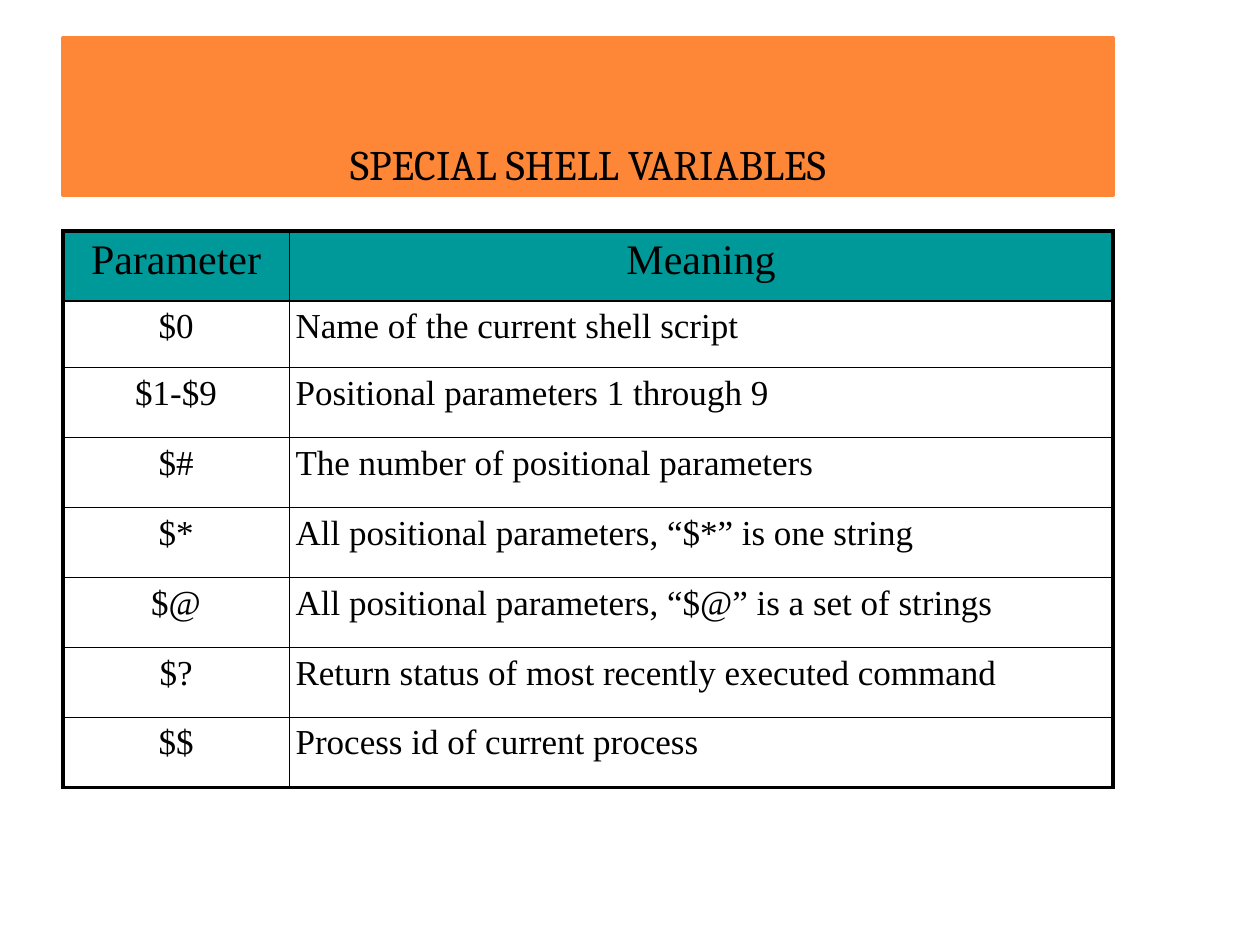
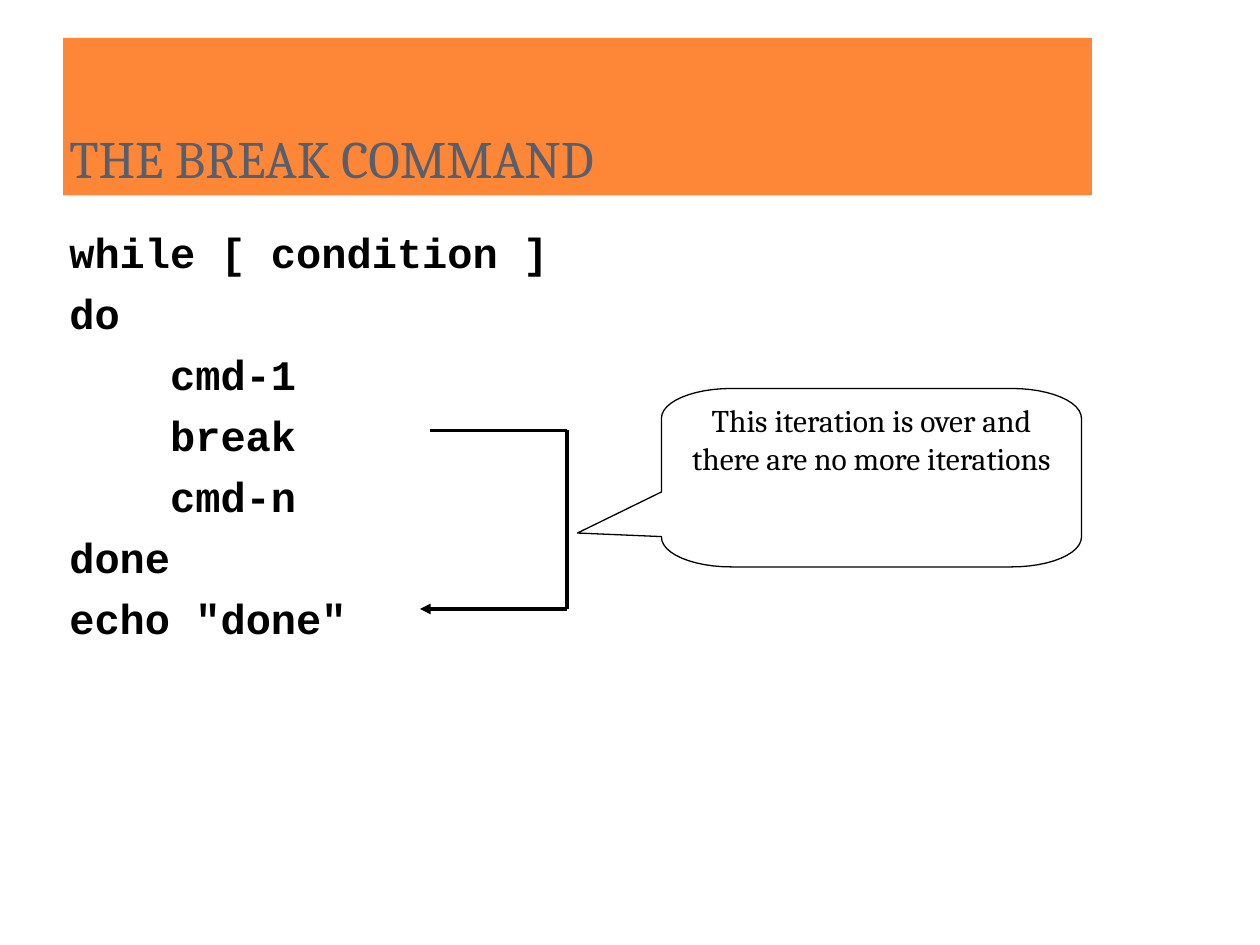
import math
from dataclasses import dataclass

import pptx
import pptx.dml.color
import pptx.enum.shapes
import pptx.enum.text
import pptx.oxml
import pptx.oxml.ns
import pptx.util
from lxml import etree

Pt = pptx.util.Pt
PP_ALIGN = pptx.enum.text.PP_ALIGN
ANCHOR = pptx.enum.text.MSO_ANCHOR
qn = pptx.oxml.ns.qn


def rgb(code):
    return pptx.dml.color.RGBColor.from_string(code)


@dataclass(frozen=True)
class Theme:
    band: str = "FE8637"
    header: str = "009999"
    ink: str = "000000"
    slate: str = "575F6D"
    serif: str = "Cambria"
    table_face: str = "Times New Roman"
    code_face: str = "Courier New"
    large: int = 24
    title: int = 30
    cell: int = 20
    note: int = 18
    thick: float = 2.25
    thin: float = 1
    inset: float = 0.05


THEME = Theme()

# Slide grid: 120 columns by 90 rows, 12 to the inch
UNITS_PER_INCH = 12
COLUMNS, ROWS = 120, 90


def grid(units):
    return pptx.util.Inches(units / UNITS_PER_INCH)


@dataclass(frozen=True)
class Box:
    left: float
    top: float
    width: float
    height: float

    def emu(self):
        return [grid(v) for v in (self.left, self.top, self.width, self.height)]

    def at(self, x, y):
        """Point at shares x and y of the box."""
        return self.left + x * self.width, self.top + y * self.height


# Shared text formatting
def style(paragraph, size, face, color=THEME.ink, bold=False, align=PP_ALIGN.LEFT):
    paragraph.alignment = align
    font = paragraph.font
    font.size, font.name, font.bold = Pt(size), face, bold
    font.color.rgb = rgb(color)


def set_insets(holder):
    for side in ("left", "top", "right", "bottom"):
        setattr(holder, "margin_" + side, pptx.util.Inches(THEME.inset))


def add_text_frame(slide, box):
    frame = slide.shapes.add_textbox(*box.emu()).text_frame
    frame.word_wrap = True
    set_insets(frame)
    return frame


def add_titled_slide(deck, box, heading, size, color, align, outlined=False):
    slide = deck.slides.add_slide(deck.slide_layouts[5])
    title = slide.shapes.title
    title.left, title.top, title.width, title.height = box.emu()
    title.fill.solid()
    title.fill.fore_color.rgb = rgb(THEME.band)
    if outlined:
        title.line.color.rgb = rgb(THEME.band)
        title.line.width = Pt(2)
    frame = title.text_frame
    frame.text = heading
    frame.word_wrap = True
    frame.auto_size = pptx.enum.text.MSO_AUTO_SIZE.NONE
    frame.vertical_anchor = ANCHOR.BOTTOM
    set_insets(frame)
    style(frame.paragraphs[0], size, THEME.serif, color, align=align)
    return slide


# Table of shell variables
def set_borders(cell, widths):
    """Widths are in points, in the order left, right, top, bottom."""
    properties = cell._tc.get_or_add_tcPr()
    for index, (side, width) in enumerate(zip("LRTB", widths)):
        border = etree.Element(qn("a:ln" + side), w=str(Pt(width)))
        fill = etree.SubElement(border, qn("a:solidFill"))
        etree.SubElement(fill, qn("a:srgbClr"), val=THEME.ink)
        properties.insert(index, border)


def add_variable_table(slide, box, variables):
    records = [("Parameter", "Meaning")] + variables
    last = len(records) - 1
    table = slide.shapes.add_table(len(records), 2, *box.emu()).table
    table.first_row = table.horz_banding = False
    parameter_width = 21.55
    table.columns[0].width = grid(parameter_width)
    table.columns[1].width = grid(box.width - parameter_width)
    first_variable_height = 6.35
    row_height = (box.height - first_variable_height) / last
    for r, record in enumerate(records):
        table.rows[r].height = grid(first_variable_height if r == 1 else row_height)
        is_header = r == 0
        for c, wording in enumerate(record):
            cell = table.cell(r, c)
            cell.text = wording
            cell.vertical_anchor = ANCHOR.TOP
            set_insets(cell)
            if is_header:
                cell.fill.solid()
                cell.fill.fore_color.rgb = rgb(THEME.header)
            else:
                cell.fill.background()
            outer_edges = (c == 0, c == 1, r == 0, r == last)
            set_borders(cell, [THEME.thick if edge else THEME.thin for edge in outer_edges])
            paragraph = cell.text_frame.paragraphs[0]
            paragraph.space_before = Pt(5 if is_header else 4)
            style(paragraph, THEME.large if is_header else THEME.cell, THEME.table_face,
                  align=PP_ALIGN.CENTER if is_header or c == 0 else PP_ALIGN.LEFT)


# Code listing: each line is its depth and its wording
def add_code(slide, box, code_lines):
    frame = add_text_frame(slide, box)
    indent = grid(9.6)
    for i, (depth, wording) in enumerate(code_lines):
        paragraph = frame.paragraphs[0] if i == 0 else frame.add_paragraph()
        paragraph.text = wording
        paragraph.space_before = Pt(6)
        paragraph._p.get_or_add_pPr().set("marL", str(depth * indent))
        style(paragraph, THEME.large, THEME.code_face, bold=True)


# Jump from break to the line after the loop
def add_jump(slide, box):
    corners = [box.at(0.07, 0), box.at(1, 0), box.at(1, 1), box.at(0, 1)]
    for start, end in zip(corners, corners[1:]):
        segment = slide.shapes.add_connector(
            pptx.enum.shapes.MSO_CONNECTOR.STRAIGHT, *map(grid, start + end))
        segment.line.color.rgb = rgb(THEME.ink)
        segment.line.width = Pt(2)
        if end == corners[-1]:
            etree.SubElement(segment.line._get_or_add_ln(), qn("a:tailEnd"), type="triangle")
        etree.SubElement(segment._element.spPr, qn("a:effectLst"))


# Speech balloon with elliptical corners and a pointer on its left
def add_balloon(slide, box, wording):
    radius_x, radius_y, steps = box.width / 6, box.height / 6, 12
    outline = [box.at(0, 0.83), box.at(-0.2, 0.81), box.at(0, 0.58)]
    for quarter, (x, y) in enumerate([(0, 0), (1, 0), (1, 1), (0, 1)]):
        center_x = box.left + radius_x + x * (box.width - 2 * radius_x)
        center_y = box.top + radius_y + y * (box.height - 2 * radius_y)
        for step in range(steps + 1):
            angle = math.pi + (quarter + step / steps) * math.pi / 2
            outline.append((center_x + radius_x * math.cos(angle),
                            center_y + radius_y * math.sin(angle)))
    points = [(grid(x), grid(y)) for x, y in outline]
    builder = slide.shapes.build_freeform(*points[0])
    builder.add_line_segments(points[1:], close=True)
    balloon = builder.convert_to_shape()
    balloon.shadow.inherit = False
    balloon.fill.background()
    balloon.line.color.rgb = rgb(THEME.ink)
    balloon.line.width = Pt(0.75)

    text_box = Box(*box.at(0.035, 0.035), box.width * 0.93, box.height * 0.72)
    frame = add_text_frame(slide, text_box)
    frame.text = wording
    style(frame.paragraphs[0], THEME.note, THEME.serif, align=PP_ALIGN.CENTER)


# Slides
def build_variables_slide(deck):
    slide = add_titled_slide(deck, Box(6, 3.6, 100, 15), "SPECIAL SHELL VARIABLES",
                             THEME.large, THEME.ink, PP_ALIGN.CENTER, outlined=True)
    add_variable_table(slide, Box(6, 22, 100, 53), [
        ("$0", "Name of the current shell script"),
        ("$1-$9", "Positional parameters 1 through 9"),
        ("$#", "The number of positional parameters"),
        ("$*", "All positional parameters, “$*” is one string"),
        ("$@", "All positional parameters, “$@” is a set of strings"),
        ("$?", "Return status of most recently executed command"),
        ("$$", "Process id of current process"),
    ])


def build_break_slide(deck):
    slide = add_titled_slide(deck, Box(6, 3.6, 98, 15), "THE BREAK COMMAND",
                             THEME.title, THEME.slate, PP_ALIGN.LEFT)
    add_code(slide, Box(6, 21, 98, 64), [
        (0, "while [ condition ]"),
        (0, "do"),
        (1, "cmd-1"),
        (1, "break"),
        (1, "cmd-n"),
        (0, "done"),
        (0, 'echo "done"'),
    ])
    add_jump(slide, Box(40, 41, 14, 17))
    add_balloon(slide, Box(63, 37, 40, 17),
                "This iteration is over and there are no more iterations")


def main():
    deck = pptx.Presentation()
    deck.slide_width, deck.slide_height = grid(COLUMNS), grid(ROWS)
    build_variables_slide(deck)
    build_break_slide(deck)
    deck.save("out.pptx")


if __name__ == "__main__":
    main()
